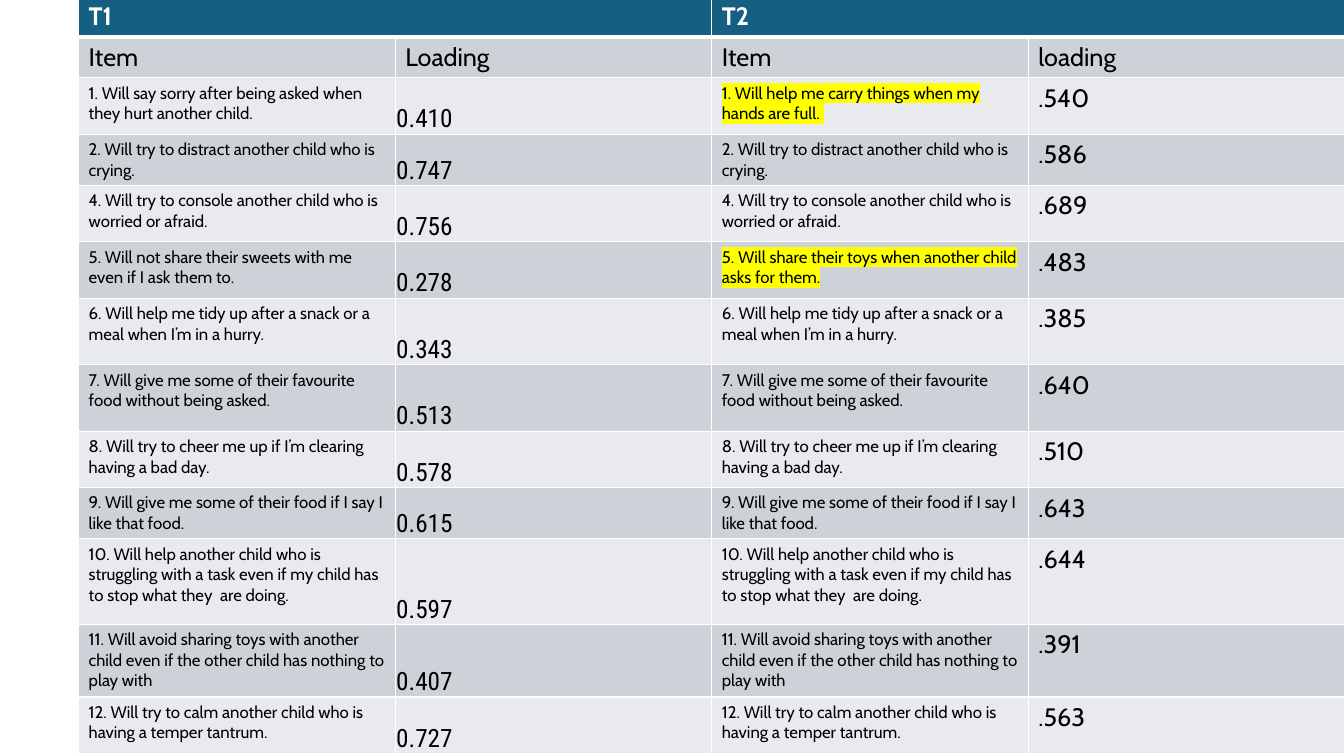
from dataclasses import dataclass
from lxml import etree
from pptx import Presentation
from pptx import util as u
from pptx.dml.color import RGBColor
from pptx.enum import text
from pptx.oxml.ns import qn


@dataclass
class Theme:
    head: str = "156082"
    dark: str = "CCD2D8"
    light: str = "E8EAED"
    white: str = "FFFFFF"
    black: str = "000000"
    mark: str = "FFFF00"
    font: str = "Cabin"
    slim: str = "Roboto Condensed"
    big: int = 18
    small: int = 12


theme = Theme()
PX = 9144


def shade(cell, fill, top, base):
    props = cell._tc.get_or_add_tcPr()
    for side, width in zip("LRTB", (1, 1, top, base)):
        line = etree.SubElement(props, qn("a:ln" + side), w=str(u.Pt(width)))
        paint = etree.SubElement(line, qn("a:solidFill"))
        etree.SubElement(paint, qn("a:srgbClr"), val=theme.white)
    cell.fill.solid()
    cell.fill.fore_color.rgb = RGBColor.from_string(fill)


def write(cell, words, size, color=theme.black, font=theme.font, bold=False, mark=False):
    run = cell.text_frame.paragraphs[0].add_run()
    run.text = words
    run.font.size = u.Pt(size)
    run.font.bold = bold
    run.font.name = font
    run.font.color.rgb = RGBColor.from_string(color)
    if mark:
        glow = etree.Element(qn("a:highlight"))
        etree.SubElement(glow, qn("a:srgbClr"), val=theme.mark)
        run._r.rPr.find(qn("a:solidFill")).addnext(glow)


items = [
    ("1. Will say sorry after being asked when they hurt another child.", "0.410", ".540"),
    ("2. Will try to distract another child who is crying.", "0.747", ".586"),
    ("4. Will try to console another child who is worried or afraid.", "0.756", ".689"),
    ("5. Will not share their sweets with me even if I ask them to.", "0.278", ".483"),
    ("6. Will help me tidy up after a snack or a meal when I’m in a hurry.", "0.343", ".385"),
    ("7. Will give me some of their favourite food without being asked.", "0.513", ".640"),
    ("8. Will try to cheer me up if I’m clearing having a bad day.", "0.578", ".510"),
    ("9. Will give me some of their food if I say I like that food.", "0.615", ".643"),
    ("10. Will help another child who is struggling with a task even if my child "
     "has to stop what they  are doing.", "0.597", ".644"),
    ("11. Will avoid sharing toys with another child even if the other child "
     "has nothing to play with", "0.407", ".391"),
    ("12. Will try to calm another child who is having a temper tantrum.", "0.727", ".563"),
]
swaps = {
    0: "1. Will help me carry things when my hands are full. ",
    3: "5. Will share their toys when another child asks for them.",
}
tall = [40, 40, 56, 49, 56, 56, 66, 66, 56, 49, 85, 72, 56]

deck = Presentation()
deck.slide_width, deck.slide_height = 1333 * PX, 750 * PX
slide = deck.slides.add_slide(deck.slide_layouts[6])
frame = slide.shapes.add_table(len(tall), 4, 78 * PX, -4 * PX, 1256 * PX, sum(tall) * PX)
table = frame.table
for col in table.columns:
    col.width = 314 * PX
for row, high in zip(table.rows, tall):
    row.height = high * PX

for r, row in enumerate(table.rows):
    fill = theme.head if r == 0 else theme.dark if r % 2 else theme.light
    for cell in row.cells:
        shade(cell, fill, 3 if r == 1 else 1, 3 if r == 0 else 1)

for c, name in ((0, "T1"), (2, "T2")):
    table.cell(0, c).merge(table.cell(0, c + 1))
    write(table.cell(0, c), name, theme.big, theme.white, bold=True)
for c, name in enumerate(("Item", "Loading", "Item", "loading")):
    write(table.cell(1, c), name, theme.big)

for i, (item, first, second) in enumerate(items):
    cells = list(table.rows[i + 2].cells)
    write(cells[0], item, theme.small)
    write(cells[1], first, theme.big, font=theme.slim)
    write(cells[2], swaps.get(i, item), theme.small, mark=i in swaps)
    write(cells[3], second, theme.big)
    cells[1].vertical_anchor = text.MSO_ANCHOR.BOTTOM
    cells[1].margin_left = cells[1].margin_right = cells[1].margin_top = PX
    cells[1].margin_bottom = 0

deck.save("out.pptx")
